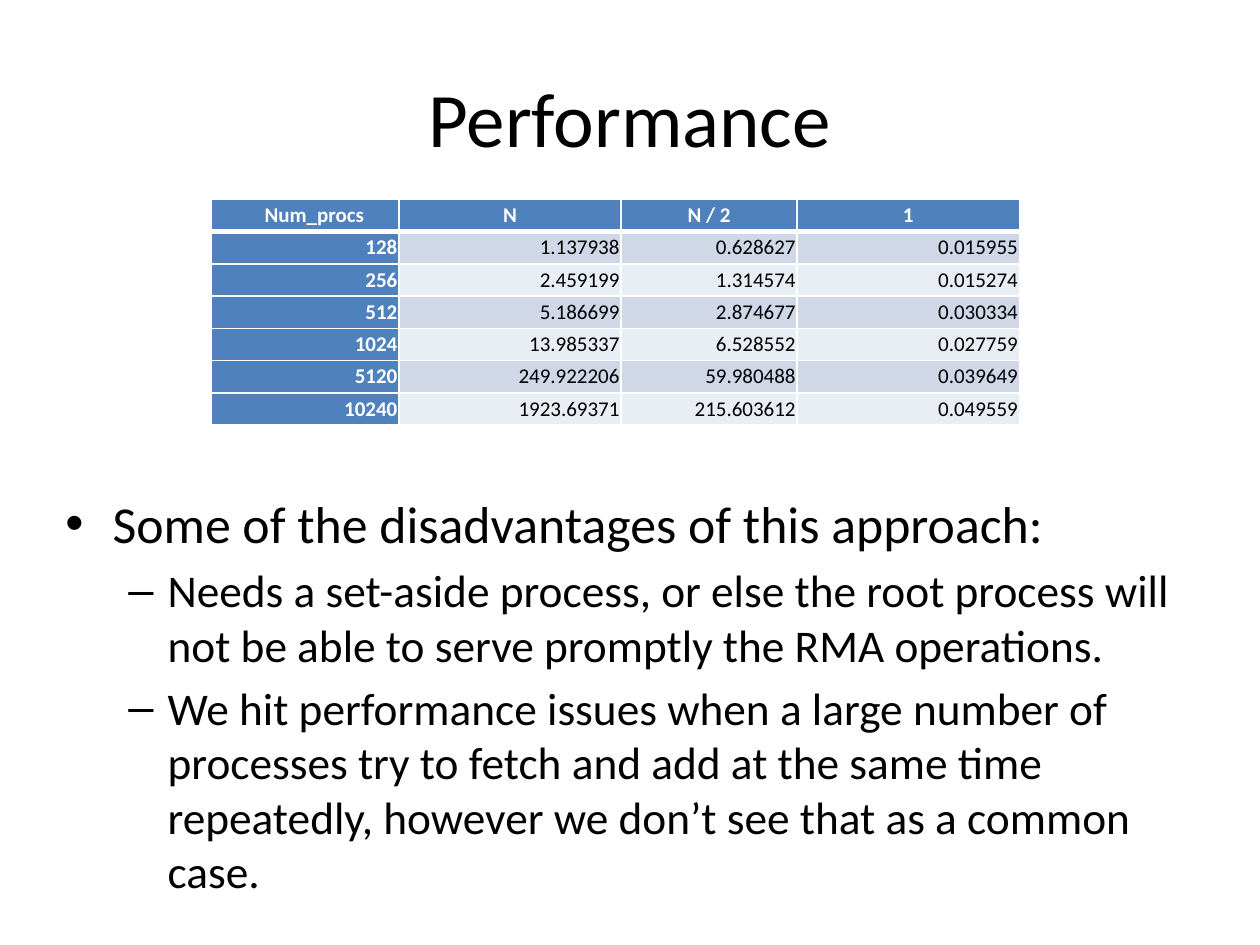
from lxml import etree
from pptx import Presentation
from pptx.dml.color import RGBColor
from pptx.enum.text import MSO_ANCHOR, PP_ALIGN
from pptx.oxml.ns import qn
from pptx.util import Cm, Pt

CENTER, RIGHT, LEFT = PP_ALIGN.CENTER, PP_ALIGN.RIGHT, PP_ALIGN.LEFT
MIDDLE, TOP = MSO_ANCHOR.MIDDLE, MSO_ANCHOR.TOP
COLORS = {
    "text": "000000",
    "white": "FFFFFF",
    "header": "4F81BD",
    "odd": "D0D8E8",
    "even": "E9EDF4",
}


def add_span(para, text, size, color="text", bold=False):
    span = para.add_run()
    span.text = text
    span.font.name = "Calibri"
    span.font.size = Pt(size)
    span.font.bold = bold
    span.font.color.rgb = RGBColor.from_string(COLORS[color])


def add_border(cell, position, side, width):
    line = etree.Element(qn(f"a:ln{side}"), w=str(Pt(width)))
    fill = etree.SubElement(line, qn("a:solidFill"))
    etree.SubElement(fill, qn("a:srgbClr"), val=COLORS["white"])
    cell._tc.get_or_add_tcPr().insert(position, line)


deck = Presentation()
deck.slide_width, deck.slide_height = Cm(25.4), Cm(19.05)
page = deck.slides.add_slide(deck.slide_layouts[5])

title = page.shapes.title
title.left, title.top, title.width, title.height = Cm(1.27), Cm(0.76), Cm(22.86), Cm(3.18)
title.text_frame.vertical_anchor = MIDDLE
title_para = title.text_frame.paragraphs[0]
title_para.alignment = CENTER
add_span(title_para, "Performance", 44)

box = page.shapes.add_textbox(Cm(1.07), Cm(8.26), Cm(23.06), Cm(8.76))
frame = box.text_frame
frame.word_wrap = True
frame.vertical_anchor = TOP
frame.margin_top = Cm(1.65)
points = [
    (0, "Some of the disadvantages of this approach:"),
    (1, "Needs a set-aside process, or else the root process will not be able "
        "to serve promptly the RMA operations."),
    (1, "We hit performance issues when a large number of processes try to fetch "
        "and add at the same time repeatedly, however we don’t see that as a common case."),
]
levels = [("•", 29.6, 0.95, 0.95), ("–", 25.9, 2.06, 0.79)]
for index, (level, text) in enumerate(points):
    bullet, size, margin, hanging = levels[level]
    para = frame.paragraphs[0] if index == 0 else frame.add_paragraph()
    para.level = level
    para.alignment = LEFT
    para.space_before = Pt(5 if index else 0)
    add_span(para, text, size)
    properties = para._p.get_or_add_pPr()
    properties.set("marL", str(Cm(margin)))
    properties.set("indent", str(-Cm(hanging)))
    etree.SubElement(properties, qn("a:buFont"), typeface="Arial")
    etree.SubElement(properties, qn("a:buChar"), char=bullet)

rows = [
    ("Num_procs", "N", "N / 2", "1"),
    ("128", "1.137938", "0.628627", "0.015955"),
    ("256", "2.459199", "1.314574", "0.015274"),
    ("512", "5.186699", "2.874677", "0.030334"),
    ("1024", "13.985337", "6.528552", "0.027759"),
    ("5120", "249.922206", "59.980488", "0.039649"),
    ("10240", "1923.69371", "215.603612", "0.049559"),
]
widths = [3.79, 4.48, 3.55, 4.48]
table = page.shapes.add_table(
    len(rows), len(widths), Cm(4.25), Cm(4.02), Cm(sum(widths)), Cm(4.56)).table
for column, width in zip(table.columns, widths):
    column.width = Cm(width)

for row_index, row in enumerate(rows):
    table.rows[row_index].height = Cm(0.65)
    for column_index, text in enumerate(row):
        cell = table.cell(row_index, column_index)
        heading = row_index == 0 or column_index == 0
        band = "header" if heading else "odd" if row_index % 2 else "even"
        cell.fill.solid()
        cell.fill.fore_color.rgb = RGBColor.from_string(COLORS[band])
        cell.vertical_anchor = MIDDLE
        cell.margin_left = cell.margin_right = cell.margin_top = cell.margin_bottom = Cm(0.03)
        para = cell.text_frame.paragraphs[0]
        para.alignment = RIGHT if row_index else CENTER
        add_span(para, text, 12, "white" if heading else "text", heading)
        top = 3 if row_index == 1 else 1
        bottom = 3 if row_index == 0 else 1
        for position, (side, width) in enumerate(zip("LRTB", (1, 1, top, bottom))):
            add_border(cell, position, side, width)
table.cell(0, 0).margin_left = Cm(0.41)

deck.save("out.pptx")
